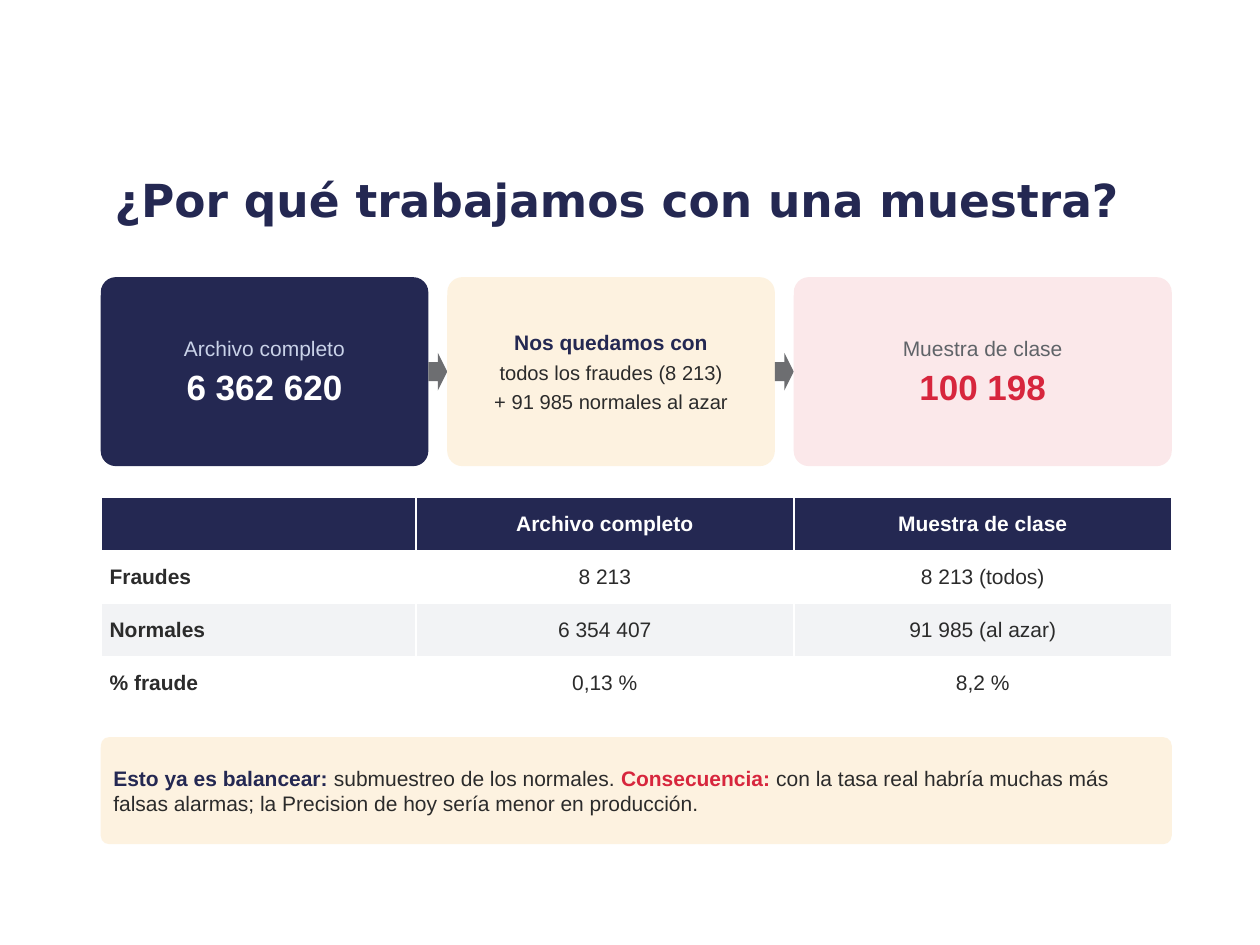
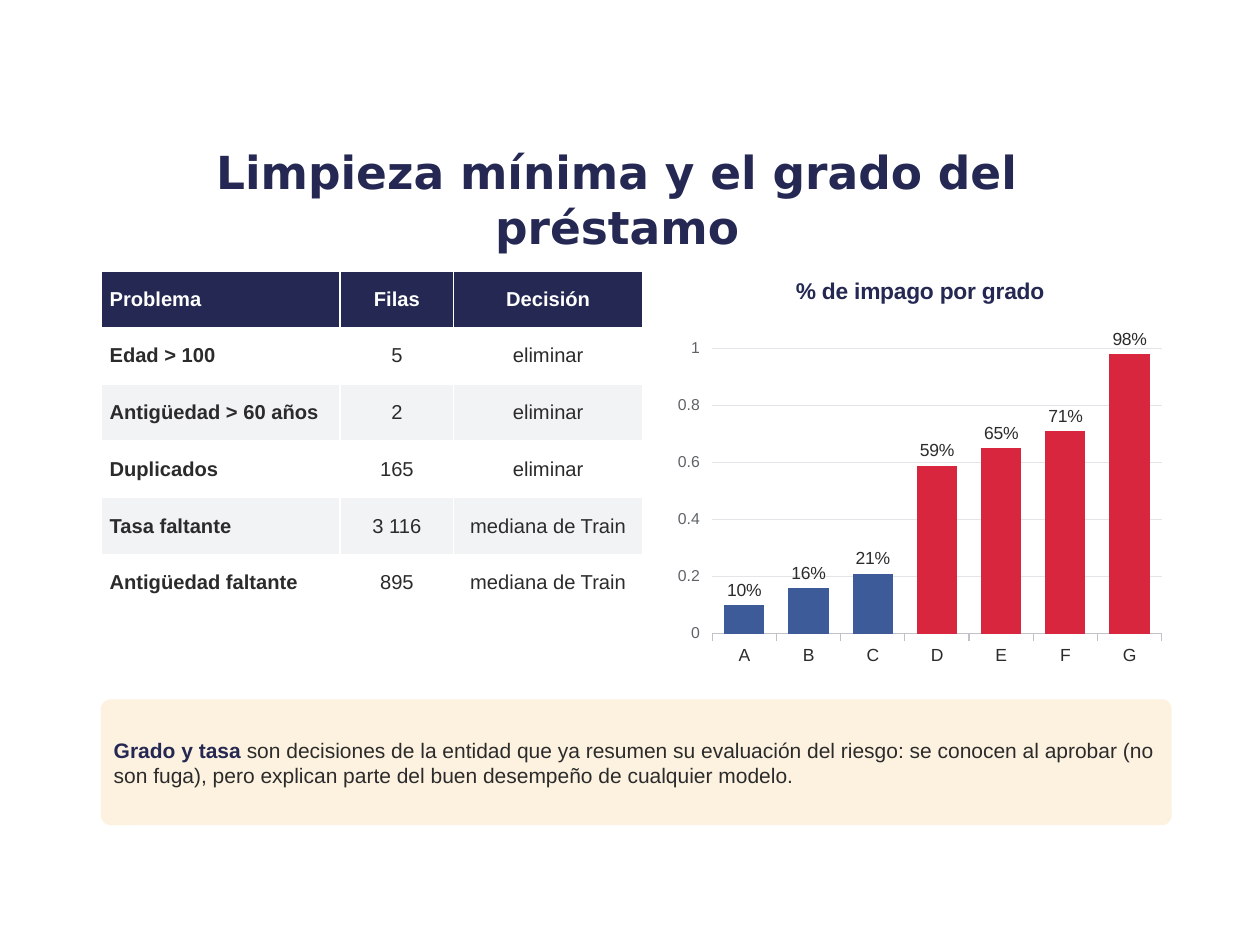
from pptx import Presentation
from pptx.chart.data import CategoryChartData
from pptx.dml.color import RGBColor
from pptx.enum.chart import XL_CHART_TYPE, XL_LABEL_POSITION, XL_TICK_MARK
from pptx.enum.shapes import MSO_SHAPE
from pptx.enum.text import MSO_ANCHOR, PP_ALIGN
from pptx.util import Inches, Pt

COLORS = {
    "navy": "242852", "white": "FFFFFF", "cream": "FDF2E0", "pink": "FBE8EA",
    "red": "D7263D", "blue": "3D5A99", "ink": "2B2B2B", "gray": "5F6368",
    "arrow": "6D6E71", "mist": "C9D2E8", "band": "F2F3F5", "axis": "BFC3C9",
    "grid": "E3E5E8",
}
COLUMNS, ROWS = 100, 75
LEFT, WIDTH = 8, 85  # content band, in grid columns


def rgb(name):
    return RGBColor.from_string(COLORS[name])


def style_font(font, size, color="ink", bold=False, face="Arial"):
    font.name, font.size, font.bold = face, Pt(size), bold
    font.color.rgb = rgb(color)


def write(paragraph, text, align=PP_ALIGN.CENTER, after=0, **style):
    """Add one formatted run to a paragraph."""
    paragraph.alignment = align
    paragraph.space_after = Pt(after)
    run = paragraph.add_run()
    run.text = text
    style_font(run.font, **style)


class Deck:
    def __init__(self):
        self.prs = Presentation()
        self.prs.slide_width, self.prs.slide_height = Inches(10), Inches(7.5)
        self.slide = None

    def place(self, column, row, columns, rows):
        across = self.prs.slide_width / COLUMNS
        down = self.prs.slide_height / ROWS
        return (round(column * across), round(row * down),
                round(columns * across), round(rows * down))

    def new_slide(self, title):
        self.slide = self.prs.slides.add_slide(self.prs.slide_layouts[6])
        frame = self.slide.shapes.add_textbox(*self.place(7.5, 11.8, 83, 8)).text_frame
        frame.word_wrap = True
        frame.vertical_anchor = MSO_ANCHOR.MIDDLE
        write(frame.paragraphs[0], title, size=26, color="navy", bold=True,
              face="DejaVu Sans")

    def shape(self, kind, fill, *area):
        shape = self.slide.shapes.add_shape(kind, *self.place(*area))
        shape.shadow.inherit = False
        shape.fill.solid()
        shape.fill.fore_color.rgb = rgb(fill)
        shape.line.fill.background()
        return shape

    def card(self, fill, area, lines, align=PP_ALIGN.CENTER):
        """Rounded box; each line is a list of (text, style) runs."""
        card = self.shape(MSO_SHAPE.ROUNDED_RECTANGLE, fill, *area)
        card.adjustments[0] = 0.08
        frame = card.text_frame
        frame.word_wrap = True
        frame.vertical_anchor = MSO_ANCHOR.MIDDLE
        frame.margin_left = frame.margin_right = Inches(0.08)
        frame.margin_top = frame.margin_bottom = Inches(0.08)
        for i, line in enumerate(lines):
            paragraph = frame.add_paragraph() if i else frame.paragraphs[0]
            for text, style in line:
                write(paragraph, text, align=align, after=3, **style)

    def callout(self, row, rows, *runs):
        styled = [(text, dict(size=12, color=color, bold=color != "ink"))
                  for text, color in runs]
        self.card("cream", (LEFT, row, WIDTH, rows), [styled], PP_ALIGN.LEFT)

    def arrow(self, column, row):
        self.shape(MSO_SHAPE.RIGHT_ARROW, "arrow", column, row, 1.5, 3)

    def table(self, row, widths, row_height, size, records, header_align):
        area = self.place(LEFT, row, sum(widths), row_height * len(records))
        table = self.slide.shapes.add_table(len(records), len(widths), *area).table
        for column, width in zip(table.columns, widths):
            column.width = self.place(0, 0, width, 0)[2]
        for r, record in enumerate(records):
            fill = "navy" if r == 0 else "white" if r % 2 else "band"
            for c, text in enumerate(record):
                cell = table.cell(r, c)
                cell.fill.solid()
                cell.fill.fore_color.rgb = rgb(fill)
                cell.vertical_anchor = MSO_ANCHOR.MIDDLE
                cell.margin_left = cell.margin_right = Inches(0.07)
                cell.margin_top = cell.margin_bottom = Inches(0.03)
                if text:
                    align = PP_ALIGN.CENTER if c else PP_ALIGN.LEFT
                    write(cell.text_frame.paragraphs[0], text,
                          align=header_align if r == 0 and c == 0 else align,
                          size=size, color="ink" if r else "white",
                          bold=r == 0 or c == 0)

    def column_chart(self, area, title, rates, highlight_from):
        data = CategoryChartData(number_format="General")
        data.categories = list(rates)
        data.add_series("Impago", rates.values())
        chart = self.slide.shapes.add_chart(
            XL_CHART_TYPE.COLUMN_CLUSTERED, *self.place(*area), data).chart
        style_font(chart.font, 10)
        chart.has_legend = False
        chart.has_title = True
        write(chart.chart_title.text_frame.paragraphs[0], title,
              size=13, color="navy", bold=True)
        chart.chart_title.include_in_layout = False

        # Axes
        grades, scale = chart.category_axis, chart.value_axis
        grades.major_tick_mark = scale.major_tick_mark = XL_TICK_MARK.OUTSIDE
        grades.format.line.color.rgb = rgb("axis")
        grades.format.line.width = Pt(0.75)
        style_font(grades.tick_labels.font, 10)
        scale.minimum_scale, scale.maximum_scale = 0, 1.1
        scale.format.line.fill.background()
        scale.major_gridlines.format.line.color.rgb = rgb("grid")
        scale.major_gridlines.format.line.width = Pt(0.75)
        style_font(scale.tick_labels.font, 9, "gray")

        # Bars and their labels
        plot = chart.plots[0]
        plot.gap_width = 60
        plot.vary_by_categories = False
        bars = plot.series[0]
        bars.format.fill.solid()
        bars.format.fill.fore_color.rgb = rgb("blue")
        for i in range(highlight_from, len(rates)):
            fill = bars.points[i].format.fill
            fill.solid()
            fill.fore_color.rgb = rgb("red")
        labels = bars.data_labels
        labels.show_value = True
        labels.number_format, labels.number_format_is_linked = "0%", False
        labels.position = XL_LABEL_POSITION.OUTSIDE_END
        style_font(labels.font, 10)


def figure_card(label, label_color, figure, figure_color):
    return [[(label, dict(size=12, color=label_color))],
            [(figure, dict(size=20, color=figure_color, bold=True))]]


def sample_slide(deck):
    deck.new_slide("¿Por qué trabajamos con una muestra?")

    # Flow from the full file to the sample
    steps = [
        ("navy", 26, figure_card("Archivo completo", "mist", "6 362 620", "white")),
        ("cream", 26, [
            [("Nos quedamos con", dict(size=12, color="navy", bold=True))],
            [("todos los fraudes (8 213)", dict(size=11.5))],
            [("+ 91 985 normales al azar", dict(size=11.5))]]),
        ("pink", 30, figure_card("Muestra de clase", "gray", "100 198", "red")),
    ]
    column, gap = LEFT, 1.5
    for i, (fill, width, lines) in enumerate(steps):
        if i:
            deck.arrow(column - gap, 28)
        deck.card(fill, (column, 22, width, 15), lines)
        column += width + gap

    # Comparison
    deck.table(39.5, [25, 30, 30], 4.2, 12, [
        ("", "Archivo completo", "Muestra de clase"),
        ("Fraudes", "8 213", "8 213 (todos)"),
        ("Normales", "6 354 407", "91 985 (al azar)"),
        ("% fraude", "0,13 %", "8,2 %"),
    ], PP_ALIGN.CENTER)

    deck.callout(
        58.5, 8.5,
        ("Esto ya es balancear: ", "navy"),
        ("submuestreo de los normales. ", "ink"),
        ("Consecuencia: ", "red"),
        ("con la tasa real habría muchas más falsas alarmas; "
         "la Precision de hoy sería menor en producción.", "ink"))


def cleaning_slide(deck):
    deck.new_slide("Limpieza mínima y el grado del préstamo")

    # Cleaning decisions
    deck.table(21.5, [19, 9, 15], 4.5, 11.5, [
        ("Problema", "Filas", "Decisión"),
        ("Edad > 100", "5", "eliminar"),
        ("Antigüedad > 60 años", "2", "eliminar"),
        ("Duplicados", "165", "eliminar"),
        ("Tasa faltante", "3 116", "mediana de Train"),
        ("Antigüedad faltante", "895", "mediana de Train"),
    ], PP_ALIGN.LEFT)

    # Default rate by loan grade
    rates = dict(zip("ABCDEFG", (0.10, 0.16, 0.21, 0.59, 0.65, 0.71, 0.98)))
    deck.column_chart((53, 20.5, 40, 33), "% de impago por grado", rates,
                      highlight_from=3)

    deck.callout(
        55.5, 10,
        ("Grado y tasa ", "navy"),
        ("son decisiones de la entidad que ya resumen su evaluación del riesgo: "
         "se conocen al aprobar (no son fuga), pero explican parte del buen "
         "desempeño de cualquier modelo.", "ink"))


def main():
    deck = Deck()
    sample_slide(deck)
    cleaning_slide(deck)
    deck.prs.save("out.pptx")


if __name__ == "__main__":
    main()
